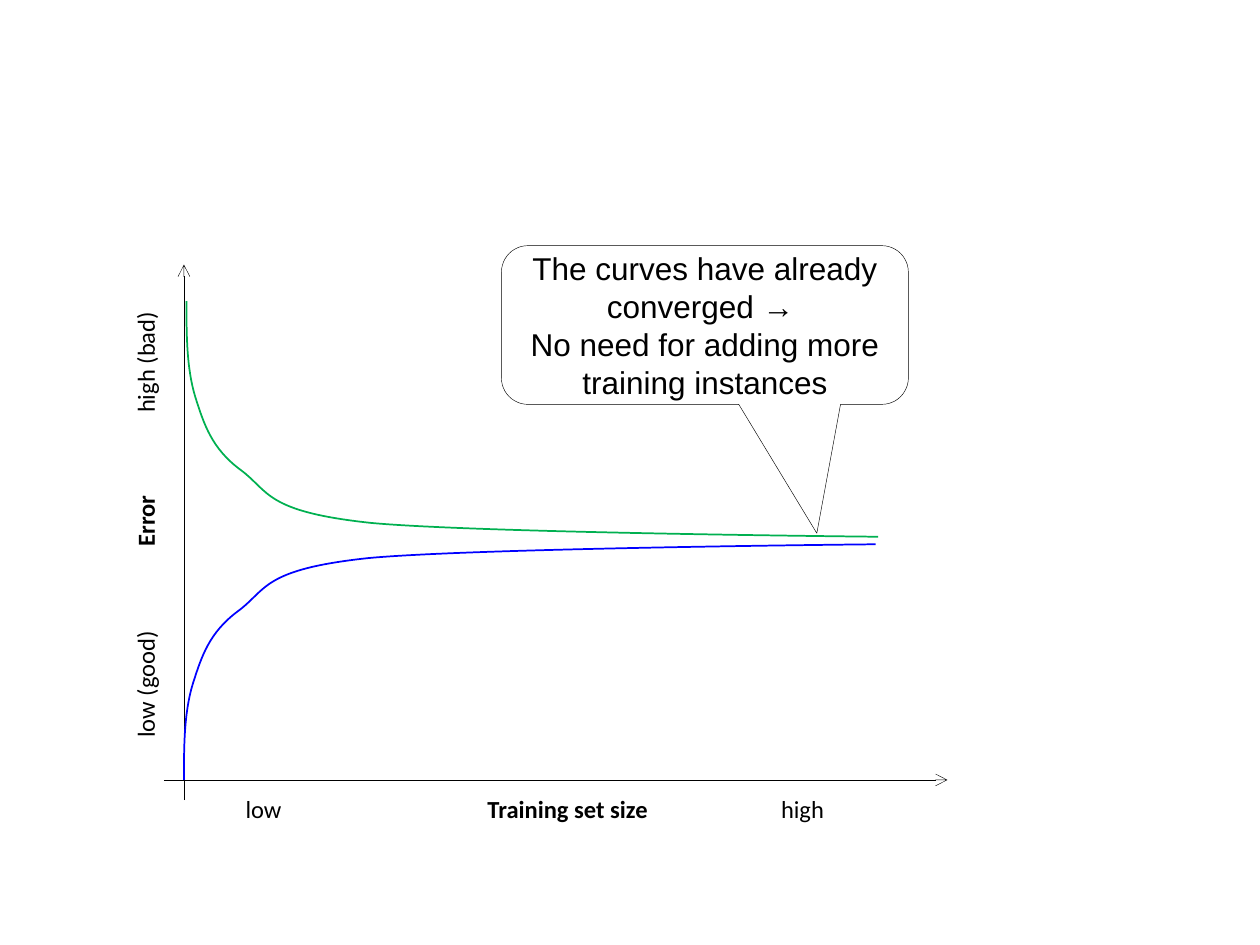
from dataclasses import dataclass

from lxml.etree import SubElement
from pptx import Presentation
from pptx.dml.color import RGBColor
from pptx.enum.shapes import MSO_CONNECTOR, MSO_SHAPE
from pptx.enum.text import MSO_ANCHOR, PP_ALIGN
from pptx.oxml.ns import qn
from pptx.util import Inches, Pt


@dataclass(frozen=True)
class Theme:
    black: RGBColor = RGBColor(0, 0, 0)
    white: RGBColor = RGBColor(255, 255, 255)
    green: RGBColor = RGBColor(0, 0xB0, 0x50)
    blue: RGBColor = RGBColor(0, 0, 255)
    label: tuple = ("Calibri", Pt(14))
    note: tuple = ("Arial", Pt(18))
    thin: int = Pt(0.25)
    thick: int = Pt(1)


THEME = Theme()

# Bezier points of the learning curve, in inches from its start
BENDS = [(0, 0.26), (0, 0.53), (0.07, 0.76),
         (0.14, 0.98), (0.2, 1.17), (0.43, 1.34),
         (0.66, 1.51), (0.62, 1.67), (1.46, 1.76),
         (2.3, 1.84), (5.49, 1.87), (5.49, 1.87)]


def style_line(line, color, width):
    line.color.rgb = color
    line.width = width


def style_font(font, face, **extra):
    name, size = face
    for key, value in dict(name=name, size=size, **extra).items():
        setattr(font, key, value)
    font.color.rgb = THEME.black


def add_axis(slide, start, end):
    axis = slide.shapes.add_connector(
        MSO_CONNECTOR.STRAIGHT, *map(Inches, start + end))
    style_line(axis.line, THEME.black, THEME.thin)
    SubElement(axis.line._get_or_add_ln(), qn("a:tailEnd"), type="arrow")
    SubElement(axis._element.spPr, qn("a:effectLst"))


def add_scale(slide, place, parts, stops, angle=0):
    """Add one line of axis labels, spaced by tab stops."""
    box = slide.shapes.add_textbox(*map(Inches, place))
    box.rotation = angle
    box.text_frame.word_wrap = True
    para = box.text_frame.paragraphs[0]
    tabs = SubElement(para._p.get_or_add_pPr(), qn("a:tabLst"))
    for stop in stops:
        SubElement(tabs, qn("a:tab"), pos=str(Inches(stop)), algn="l")
    for spot, (text, bold) in enumerate(parts):
        run = para.add_run()
        run.text = text if spot == 0 else "\t" + text
        style_font(run.font, THEME.label, bold=bold)


def round_off(curve):
    """Turn each three line pieces into one cubic Bezier piece."""
    lines = list(curve._element.iter(qn("a:lnTo")))
    for first in range(0, len(lines), 3):
        trio = lines[first:first + 3]
        bend = SubElement(trio[0].getparent(), qn("a:cubicBezTo"))
        for line in trio:
            bend.append(line[0])
            line.getparent().remove(line)


def add_curve(slide, start, way, color):
    """Draw the curve down (way 1) or up (way -1) from its start."""
    left, top = start
    pen = slide.shapes.build_freeform(Inches(left), Inches(top))
    pen.add_line_segments(
        [(Inches(left + x), Inches(top + way * y)) for x, y in BENDS],
        close=False)
    curve = pen.convert_to_shape()
    round_off(curve)
    curve.shadow.inherit = False
    curve.fill.background()
    style_line(curve.line, color, THEME.thick)


def add_note(slide, place, bends, lines):
    note = slide.shapes.add_shape(
        MSO_SHAPE.ROUNDED_RECTANGULAR_CALLOUT, *map(Inches, place))
    for spot, bend in enumerate(bends):
        note.adjustments[spot] = bend
    note.shadow.inherit = False
    note.fill.solid()
    note.fill.fore_color.rgb = THEME.white
    style_line(note.line, THEME.black, THEME.thin)
    frame = note.text_frame
    frame.word_wrap = True
    frame.vertical_anchor = MSO_ANCHOR.MIDDLE
    for spot, text in enumerate(lines):
        para = frame.add_paragraph() if spot else frame.paragraphs[0]
        para.alignment = PP_ALIGN.CENTER
        run = para.add_run()
        run.text = text
        style_font(run.font, THEME.note)


def main():
    deck = Presentation()
    deck.slide_width, deck.slide_height = Inches(10), Inches(7.5)
    slide = deck.slides.add_slide(deck.slide_layouts[6])

    # Axes and their labels
    add_axis(slide, (1.3, 6.19), (7.52, 6.19))
    add_axis(slide, (1.46, 6.35), (1.46, 2.1))
    add_scale(slide, (1.85, 6.25, 4.79, 0.34),
              [("low", False), ("Training set size", True), ("high", False)],
              (1.92, 4.25))
    add_scale(slide, (-0.64, 3.99, 3.59, 0.34),
              [("low (good)", False), ("Error", True), ("high (bad)", False)],
              (1.52, 2.58), 270)

    # Mirrored error curves
    add_curve(slide, (1.48, 2.39), 1, THEME.green)
    add_curve(slide, (1.46, 6.19), -1, THEME.blue)

    # Callout at the point where the curves meet
    add_note(slide, (3.98, 1.95, 3.23, 1.26), (0.275, 1.312, 0.167),
             ["The curves have already converged → ",
              "No need for adding more training instances"])

    deck.save("out.pptx")


if __name__ == "__main__":
    main()
